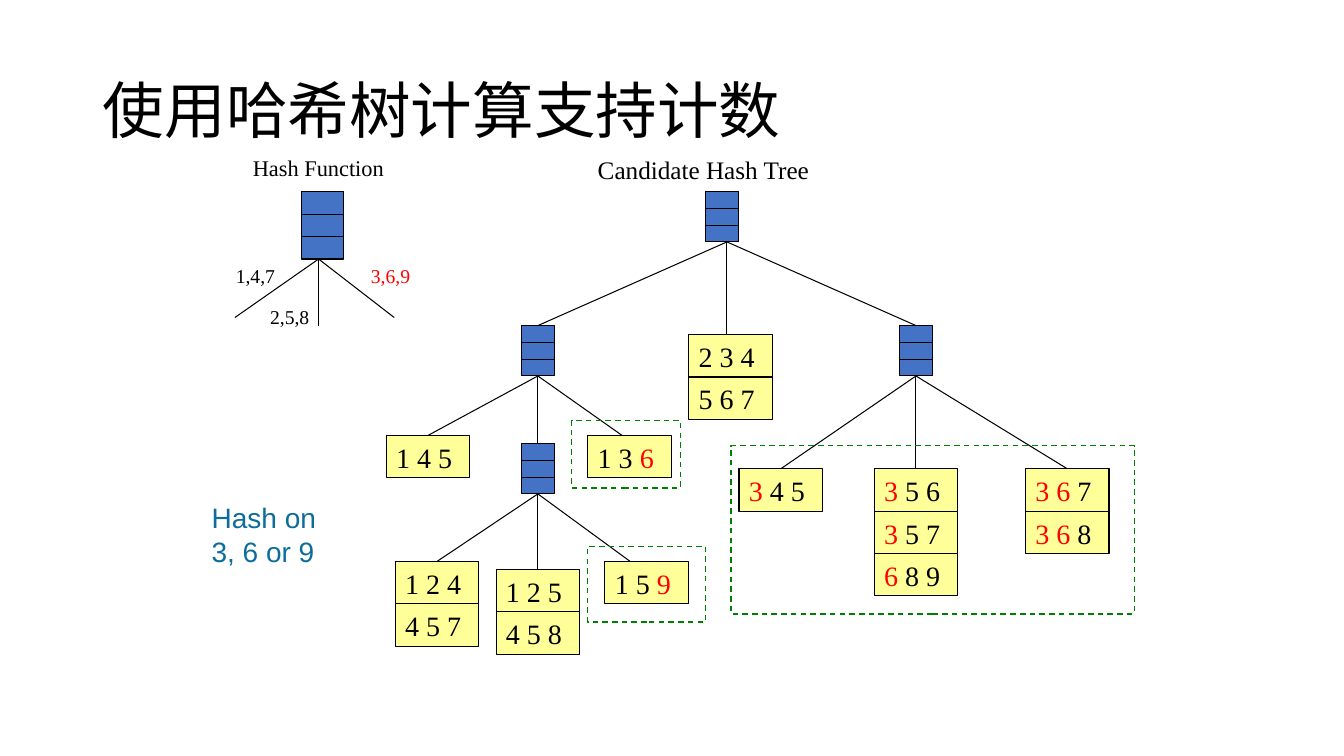
from lxml.etree import SubElement
from pptx import Presentation
from pptx.dml.color import RGBColor
from pptx.enum.dml import MSO_LINE
from pptx.enum.shapes import MSO_CONNECTOR, MSO_SHAPE
from pptx.enum.text import MSO_ANCHOR, PP_ALIGN
from pptx.oxml.ns import qn
from pptx.util import Pt

PX = 9144  # 100 px to the inch
SERIF = "Times New Roman"
COLORS = {"black": "000000", "red": "FF0000", "node": "4472C4",
          "leaf": "FFFF99", "match": "008000", "note": "0C6D9C"}
NODE_SIZE = (33, 50)
LEAF_WIDTH, LEAF_HEIGHT = 83, 42
GLUE_REACH = 3
BOTTOM, TOP = 2, 0

# Positions are relative to the tree's box; *...* marks the digits hashed on.
NODES = {"root": (317, 42), "left": (134, 175),
         "right": (509, 175), "lower": (134, 292)}
LEAVES = {
    "145": (0, 284, ["1 4 5"]),
    "136": (200, 284, ["1 3 *6*"]),
    "234": (300, 184, ["2 3 4", "5 6 7"]),
    "345": (350, 317, ["*3* 4 5"]),
    "356": (484, 317, ["*3* 5 6", "*3* 5 7", "*6* 8 9"]),
    "367": (634, 317, ["*3 6* 7", "*3 6* 8"]),
    "124": (9, 409, ["1 2 4", "4 5 7"]),
    "125": (109, 417, ["1 2 5", "4 5 8"]),
    "159": (217, 409, ["1 5 *9*"]),
}
BRANCHES = {
    "root": ((338, 92), {"left": (150, 175), "234": (338, 184), "right": (525, 175)}),
    "left": ((148, 225), {"145": (42, 284), "lower": (148, 292), "136": (234, 284)}),
    "right": ((525, 225), {"345": (392, 317), "356": (525, 317), "367": (675, 317)}),
    "lower": ((150, 342), {"124": (50, 409), "125": (150, 417), "159": (242, 409)}),
}
MATCHES = [(200, 394, 117, 75), (342, 294, 400, 167), (184, 269, 108, 67)]


def rgb(name):
    return RGBColor.from_string(COLORS[name])


def emu(*lengths):
    return [round(length * PX) for length in lengths]


def write_text(shape, text, size, font=SERIF, color="black", wrap=True,
               anchor=MSO_ANCHOR.TOP, line_spacing=None):
    """Write one paragraph, with the parts between asterisks in red."""
    frame = shape.text_frame
    frame.word_wrap = wrap
    frame.vertical_anchor = anchor
    paragraph = frame.paragraphs[0]
    paragraph.alignment = PP_ALIGN.LEFT
    paragraph.line_spacing = line_spacing
    for index, part in enumerate(text.split("*")):
        if part:
            run = paragraph.add_run()
            run.text = part
            run.font.size = Pt(size)
            run.font.name = font
            run.font.color.rgb = rgb("red" if index % 2 else color)
            SubElement(run.font._element, qn("a:ea"), typeface=font)


def add_label(slide, box, text, size, **formatting):
    write_text(slide.shapes.add_textbox(*emu(*box)), text, size, **formatting)


def add_box(slide, box, fill=None, line="black", width=0.75):
    shape = slide.shapes.add_shape(MSO_SHAPE.RECTANGLE, *emu(*box))
    shape.shadow.inherit = False
    if fill:
        shape.fill.solid()
        shape.fill.fore_color.rgb = rgb(fill)
    else:
        shape.fill.background()
    shape.line.color.rgb = rgb(line)
    shape.line.width = Pt(width)
    return shape


def add_line(slide, start, end):
    connector = slide.shapes.add_connector(MSO_CONNECTOR.STRAIGHT, *emu(*start, *end))
    connector.line.color.rgb = rgb("black")
    connector.line.width = Pt(0.75)
    SubElement(connector._element.spPr, qn("a:effectLst"))
    return connector


def meets_middle(shape, x):
    return abs(shape.left + shape.width / 2 - x) <= GLUE_REACH * PX


def add_branch(slide, parent, child, start, end):
    """Join the two shapes wherever the line meets the middle of a side."""
    branch = add_line(slide, start, end)
    if meets_middle(parent, branch.begin_x):
        branch.begin_connect(parent, BOTTOM)
    if meets_middle(child, branch.end_x):
        branch.end_connect(child, TOP)


def add_hash_node(slide, left, top, width, height):
    """Draw a node with three equal buckets."""
    node = add_box(slide, (left, top, width, height), "node")
    for row in (1, 2):
        y = top + height * row / 3
        add_line(slide, (left, y), (left + width, y))
    return node


def add_leaf(slide, left, top, itemsets):
    """Stack the itemsets and return the top cell."""
    cells = []
    for row, itemset in enumerate(itemsets):
        cell = add_box(slide, (left, top + row * LEAF_HEIGHT, LEAF_WIDTH, LEAF_HEIGHT), "leaf")
        write_text(cell, itemset, 20)
        cells.append(cell)
    return cells[0]


def add_title(slide, left, top, width, height):
    title = slide.shapes.title
    title.left, title.top, title.width, title.height = emu(left, top, width, height)
    write_text(title, "使用哈希树计算支持计数", 44, font="Noto Sans CJK SC",
               anchor=MSO_ANCHOR.MIDDLE, line_spacing=0.9)


def add_hash_function(slide, left, top):
    add_label(slide, (left + 17, top, 151, 37), "Hash Function", 16, wrap=False)
    add_hash_node(slide, left + 75, top + 42, 42, 67)
    for x, y in ((9, 167), (92, 175), (167, 167)):
        add_line(slide, (left + 92, top + 109), (left + x, top + y))
    for x, y, text in ((0, 109, "1,4,7"), (34, 150, "2,5,8"), (134, 109, "*3,6,9*")):
        add_label(slide, (left + x, top + y, 59, 33), text, 14, wrap=False)


def add_candidate_tree(slide, left, top):
    def place(point):
        return left + point[0], top + point[1]

    add_label(slide, (*place((200, 0)), 232, 40), "Candidate Hash Tree", 18, wrap=False)
    parts = {}
    for name, point in NODES.items():
        parts[name] = add_hash_node(slide, *place(point), *NODE_SIZE)
    for name, (x, y, itemsets) in LEAVES.items():
        parts[name] = add_leaf(slide, *place((x, y)), itemsets)
    for parent, (start, children) in BRANCHES.items():
        for child, end in children.items():
            add_branch(slide, parts[parent], parts[child], place(start), place(end))
    for x, y, width, height in MATCHES:
        match = add_box(slide, (*place((x, y)), width, height), line="match", width=1)
        match.line.dash_style = MSO_LINE.DASH


def main():
    presentation = Presentation()
    presentation.slide_width, presentation.slide_height = emu(1333, 750)
    slide = presentation.slides.add_slide(presentation.slide_layouts.get_by_name("Title Only"))
    add_title(slide, 92, 40, 1150, 145)
    add_hash_function(slide, 224, 148)
    add_candidate_tree(slide, 383, 148)
    add_label(slide, (200, 492, 125, 77), "Hash on 3, 6 or 9", 20, font="Arial", color="note")
    presentation.save("out.pptx")


if __name__ == "__main__":
    main()
